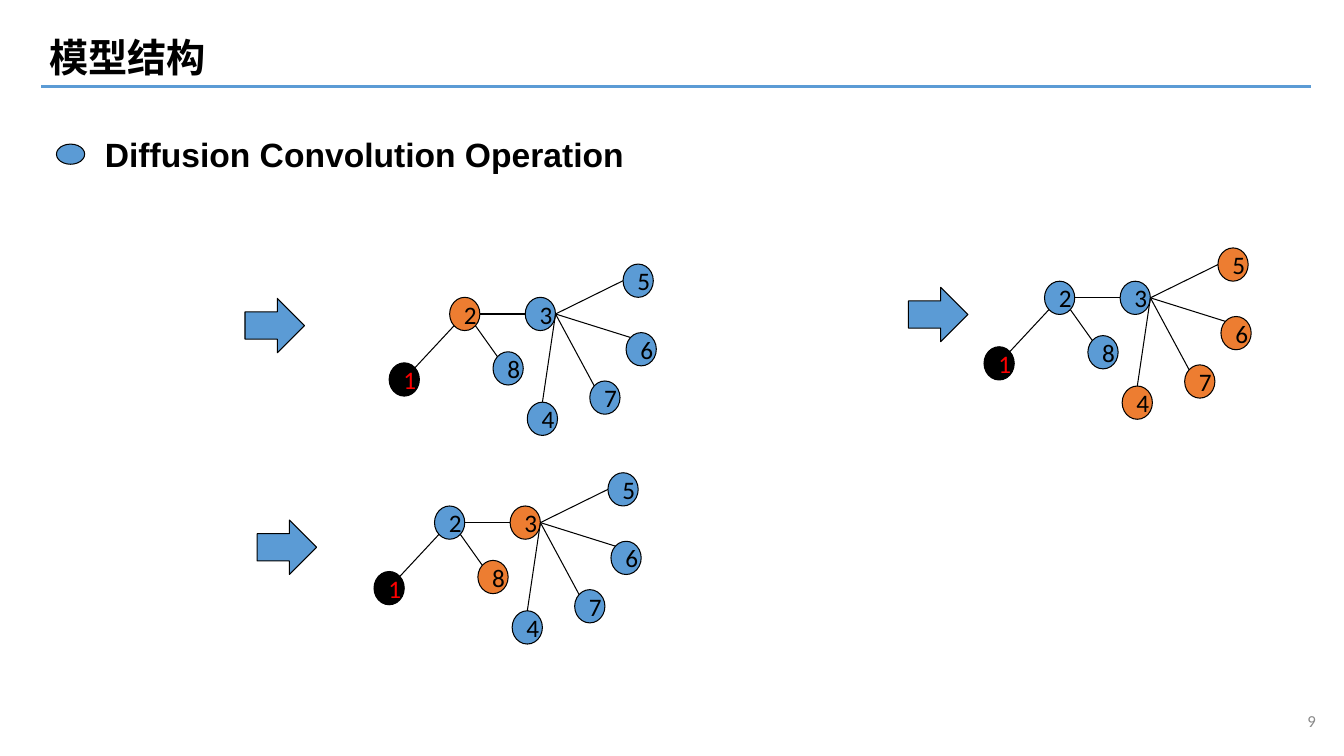
from math import sqrt
from pptx import Presentation
from pptx.dml.color import RGBColor
from pptx.enum.shapes import MSO_CONNECTOR, MSO_SHAPE
from pptx.enum.text import MSO_ANCHOR, MSO_AUTO_SIZE, PP_ALIGN
from pptx.oxml.ns import qn
from pptx.util import Inches, Pt
from lxml import etree

LINE = MSO_CONNECTOR.STRAIGHT
OVAL, ARROW = MSO_SHAPE.OVAL, MSO_SHAPE.RIGHT_ARROW
LEFT, RIGHT = PP_ALIGN.LEFT, PP_ALIGN.RIGHT
TOP, MID = MSO_ANCHOR.TOP, MSO_ANCHOR.MIDDLE

COLORS = {"blue": "5B9BD5", "orange": "ED7D31", "black": "000000",
          "red": "FF0000", "gray": "898989"}

TITLE = "模型结构"
HEAD = "Diffusion Convolution Operation"
PAGE = "9"

NODES = {"1": (0, 0), "2": (0.6, -0.65), "8": (1.03, -0.11),
         "3": (1.35, -0.65), "4": (1.37, 0.39), "7": (1.99, 0.18),
         "5": (2.32, -0.98), "6": (2.35, -0.3)}
EDGES = [("1", "NE", "2", "SW"), ("2", "SE", "8", "NW"),
         ("2", "E", "3", "W"), ("3", "E", "5", "W"),
         ("3", "E", "6", "NW"), ("3", "E", "4", "N"),
         ("3", "E", "7", "NW")]
GRAPHS = [
    {"at": (3.86, 3.6), "arrow": (2.43, 2.96), "active": "2"},
    {"at": (3.71, 5.67), "arrow": (2.55, 5.16), "active": "38"},
    {"at": (9.76, 3.44), "arrow": (9.01, 2.85), "active": "4567"},
]
WIDE, HIGH = 0.3, 0.33
DIAG = sqrt(0.5)
SITES = {"N": (0, -1), "E": (1, 0), "W": (-1, 0), "NE": (DIAG, -DIAG),
         "NW": (-DIAG, -DIAG), "SE": (DIAG, DIAG), "SW": (-DIAG, DIAG)}


def color(name):
    return RGBColor.from_string(COLORS[name])


def write(shape, text, size, font="Calibri", tint="black", bold=False,
          align=LEFT, anchor=TOP):
    frame = shape.text_frame
    frame.text = text
    frame.word_wrap = True
    frame.auto_size = MSO_AUTO_SIZE.NONE
    frame.vertical_anchor = anchor
    para = frame.paragraphs[0]
    para.alignment = align
    para.space_before = Pt(0)
    run = para.runs[0].font
    run.name, run.size, run.bold = font, Pt(size), bold
    run.color.rgb = color(tint)
    return para


def place(shape, *box):
    shape.left, shape.top, shape.width, shape.height = map(Inches, box)
    return shape


def draw(slide, kind, box, fill):
    shape = slide.shapes.add_shape(kind, *map(Inches, box))
    shape.shadow.inherit = False
    shape.fill.solid()
    shape.fill.fore_color.rgb = color(fill)
    shape.line.color.rgb = color("black")
    shape.line.width = Pt(0.75)
    return shape


def link(slide, start, end, tint="black", width=0.75):
    line = slide.shapes.add_connector(LINE, *map(Inches, (*start, *end)))
    line.line.color.rgb = color(tint)
    line.line.width = Pt(width)
    etree.SubElement(line._element.spPr, qn("a:effectLst"))


def site(spots, node, side):
    x, y = spots[node]
    dx, dy = SITES[side]
    return x + WIDE / 2 * (1 + dx), y + HIGH / 2 * (1 + dy)


def graph(slide, data):
    draw(slide, ARROW, (*data["arrow"], 0.59, 0.54), "blue")
    left, top = data["at"]
    spots = {n: (left + x, top + y) for n, (x, y) in NODES.items()}
    for node, spot in spots.items():
        first = node == "1"
        fill = "orange" if node in data["active"] else "blue"
        oval = draw(slide, OVAL, (*spot, WIDE, HIGH),
                    "black" if first else fill)
        write(oval, node, 18, tint="red" if first else "black", anchor=MID)
    for a, out, b, into in EDGES:
        link(slide, site(spots, a, out), site(spots, b, into))


def main():
    deck = Presentation()
    deck.slide_width, deck.slide_height = Inches(13.33), Inches(7.5)
    slide = deck.slides.add_slide(deck.slide_layouts[1])
    title, body = slide.placeholders

    link(slide, (0.41, 0.86), (13, 0.86), "blue", 2.25)
    write(place(title, 0.39, 0.28, 3.55, 0.57), TITLE, 28, bold=True)
    para = write(place(body, 0.94, 1.28, 6.32, 0.5), HEAD, 24, "Arial",
                 bold=True)
    props = para._p.get_or_add_pPr()
    props.set("marL", "0")
    props.set("indent", "0")
    etree.SubElement(props, qn("a:buNone"))
    draw(slide, OVAL, (0.56, 1.43, 0.28, 0.2), "blue")

    for data in GRAPHS:
        graph(slide, data)

    box = slide.shapes.add_textbox(*map(Inches, (10.15, 6.95, 3, 0.4)))
    write(box, PAGE, 12, tint="gray", align=RIGHT, anchor=MID)
    deck.save("out.pptx")


if __name__ == "__main__":
    main()
